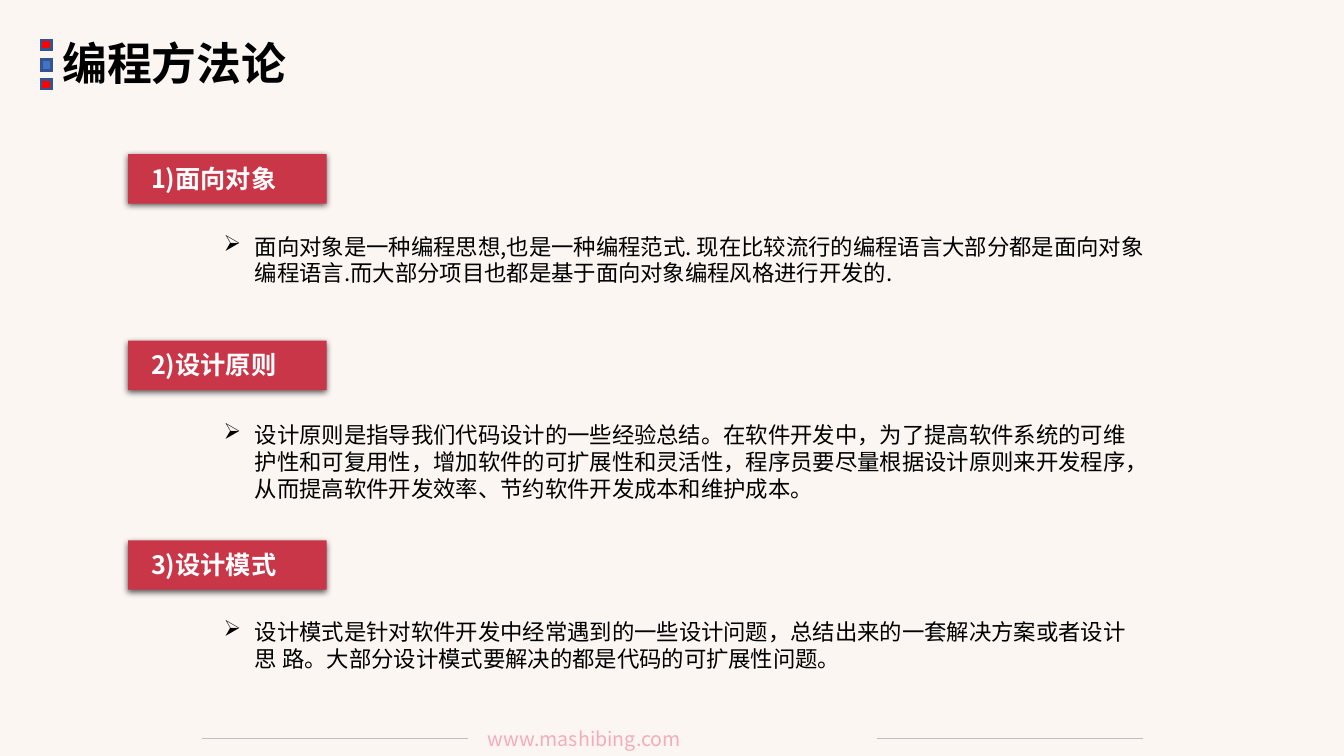
from dataclasses import dataclass

from lxml import etree
from pptx import Presentation
from pptx.dml.color import RGBColor
from pptx.enum.shapes import MSO_CONNECTOR, MSO_SHAPE
from pptx.enum.text import PP_ALIGN
from pptx.oxml.ns import qn
from pptx.util import Inches, Pt

RECT, BEVEL = MSO_SHAPE.RECTANGLE, MSO_SHAPE.BEVEL
STRAIGHT = MSO_CONNECTOR.STRAIGHT
JUSTIFY = PP_ALIGN.JUSTIFY


@dataclass(frozen=True)
class Theme:
    font: str = "Noto Sans CJK SC"
    background: str = "FCF6F3"
    ink: str = "000000"
    white: str = "FFFFFF"
    label: str = "C93648"
    footer: str = "F4ACBA"
    rule: str = "BFBFBF"
    red: str = "FF0000"
    blue: str = "4472C4"
    marker_edge: str = "325491"
    title_size: int = 32
    label_size: int = 18
    body_size: int = 16
    footer_size: int = 14


@dataclass(frozen=True)
class Section:
    label: str
    body: str
    label_top: float
    body_top: float
    body_width: float
    body_height: float


@dataclass(frozen=True)
class Marker:
    top: float
    height: float
    color: str


THEME = Theme()

SECTIONS = [
    Section("1)面向对象",
            "面向对象是一种编程思想,也是一种编程范式. 现在比较流行的编程语言大部分都是"
            "面向对象编程语言.而大部分项目也都是基于面向对象编程风格进行开发的.",
            1.53, 2.26, 9.46, 0.64),
    Section("2)设计原则",
            "设计原则是指导我们代码设计的一些经验总结。在软件开发中，为了提高软件系统的"
            "可维护性和可复用性，增加软件的可扩展性和灵活性，程序员要尽量根据设计原则来"
            "开发程序，从而提高软件开发效率、节约软件开发成本和维护成本。",
            3.38, 4.13, 9.37, 0.91),
    Section("3)设计模式",
            "设计模式是针对软件开发中经常遇到的一些设计问题，总结出来的一套解决方案或者"
            "设计思 路。大部分设计模式要解决的都是代码的可扩展性问题。",
            5.36, 6.08, 9.29, 0.64),
]

MARKERS = [
    Marker(0.39, 0.11, THEME.red),
    Marker(0.58, 0.13, THEME.blue),
    Marker(0.78, 0.11, THEME.red),
]


def rgb(color: str) -> RGBColor:
    return RGBColor.from_string(color)


def add_text(s, left: float, top: float, width: float, height: float,
             text: str, size: int, color: str, bold: bool = False):
    """Add a one-paragraph text box and return its paragraph."""
    box = s.shapes.add_textbox(Inches(left), Inches(top), Inches(width), Inches(height))
    tf = box.text_frame
    tf.word_wrap = True
    p = tf.paragraphs[0]
    r = p.add_run()
    r.text = text
    r.font.name = THEME.font
    r.font.size = Pt(size)
    r.font.bold = bold
    r.font.color.rgb = rgb(color)
    east_asian = etree.SubElement(r.font._element, qn("a:ea"))
    east_asian.set("typeface", THEME.font)
    return p


def add_arrow_bullet(p) -> None:
    p_pr = p._p.get_or_add_pPr()
    indent = Inches(0.31)
    p_pr.set("marL", str(indent))
    p_pr.set("indent", str(-indent))
    etree.SubElement(p_pr, qn("a:buChar")).set("char", "➢")


def add_block(s, kind: MSO_SHAPE, left: float, top: float,
              width: float, height: float, color: str):
    """Add a filled shape with neither outline nor shadow."""
    sp = s.shapes.add_shape(kind, Inches(left), Inches(top), Inches(width), Inches(height))
    sp.shadow.inherit = False
    sp.fill.solid()
    sp.fill.fore_color.rgb = rgb(color)
    sp.line.fill.background()
    return sp


def add_drop_shadow(sp) -> None:
    effects = sp._element.spPr.find(qn("a:effectLst"))
    shadow = etree.SubElement(effects, qn("a:outerShdw"), blurRad=str(Pt(4.5)),
                              dist=str(Pt(1.5)), dir="5400000", rotWithShape="0")
    color = etree.SubElement(shadow, qn("a:srgbClr"), val=THEME.ink)
    etree.SubElement(color, qn("a:alpha"), val="63000")


def add_marker(s, marker: Marker) -> None:
    sp = add_block(s, BEVEL, 0.4, marker.top, 0.12, marker.height, marker.color)
    sp.line.color.rgb = rgb(THEME.marker_edge)
    sp.line.width = Pt(1)


def add_section(s, section: Section) -> None:
    add_drop_shadow(add_block(s, RECT, 1.27, section.label_top, 1.97, 0.49, THEME.label))
    add_text(s, 1.4, section.label_top + 0.04, 2.34, 0.4, section.label,
             THEME.label_size, THEME.white, bold=True)
    p = add_text(s, 2.12, section.body_top, section.body_width, section.body_height,
                 section.body, THEME.body_size, THEME.ink)
    add_arrow_bullet(p)


def add_footer(s) -> None:
    y = Inches(7.33)
    for left in (2, 8.7):
        rule = s.shapes.add_connector(STRAIGHT, Inches(left), y, Inches(left + 2.64), y)
        rule.line.color.rgb = rgb(THEME.rule)
        rule.line.width = Pt(0.5)
        etree.SubElement(rule._element.spPr, qn("a:effectLst"))
    p = add_text(s, 4.74, 7.16, 3.85, 0.34, "www.mashibing.com",
                 THEME.footer_size, THEME.footer)
    p.alignment = JUSTIFY


def main() -> None:
    prs = Presentation()
    prs.slide_width, prs.slide_height = Inches(13.33), Inches(7.5)
    s = prs.slides.add_slide(prs.slide_layouts[6])
    s.background.fill.solid()
    s.background.fill.fore_color.rgb = rgb(THEME.background)
    add_footer(s)
    add_text(s, 0.52, 0.31, 5.35, 0.64, "编程方法论",
             THEME.title_size, THEME.ink, bold=True)
    for marker in MARKERS:
        add_marker(s, marker)
    for section in SECTIONS:
        add_section(s, section)
    prs.save("out.pptx")


if __name__ == "__main__":
    main()
